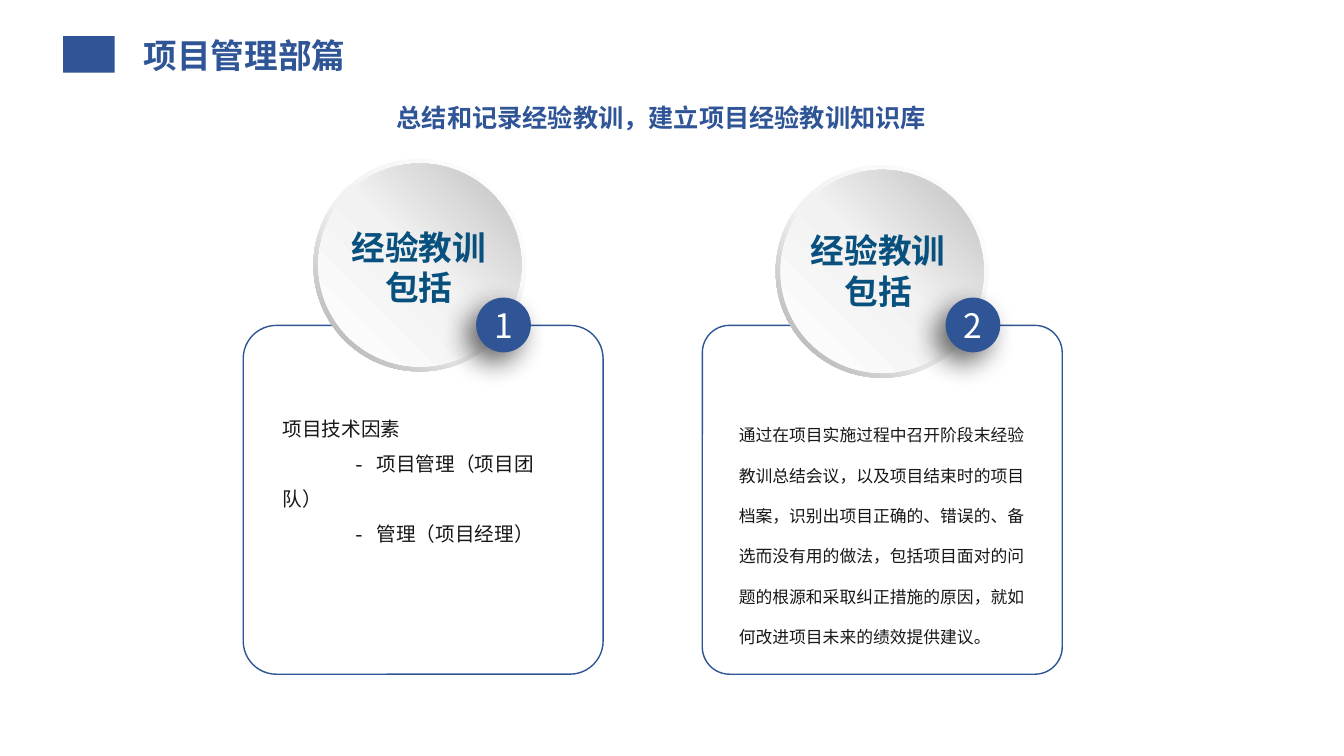
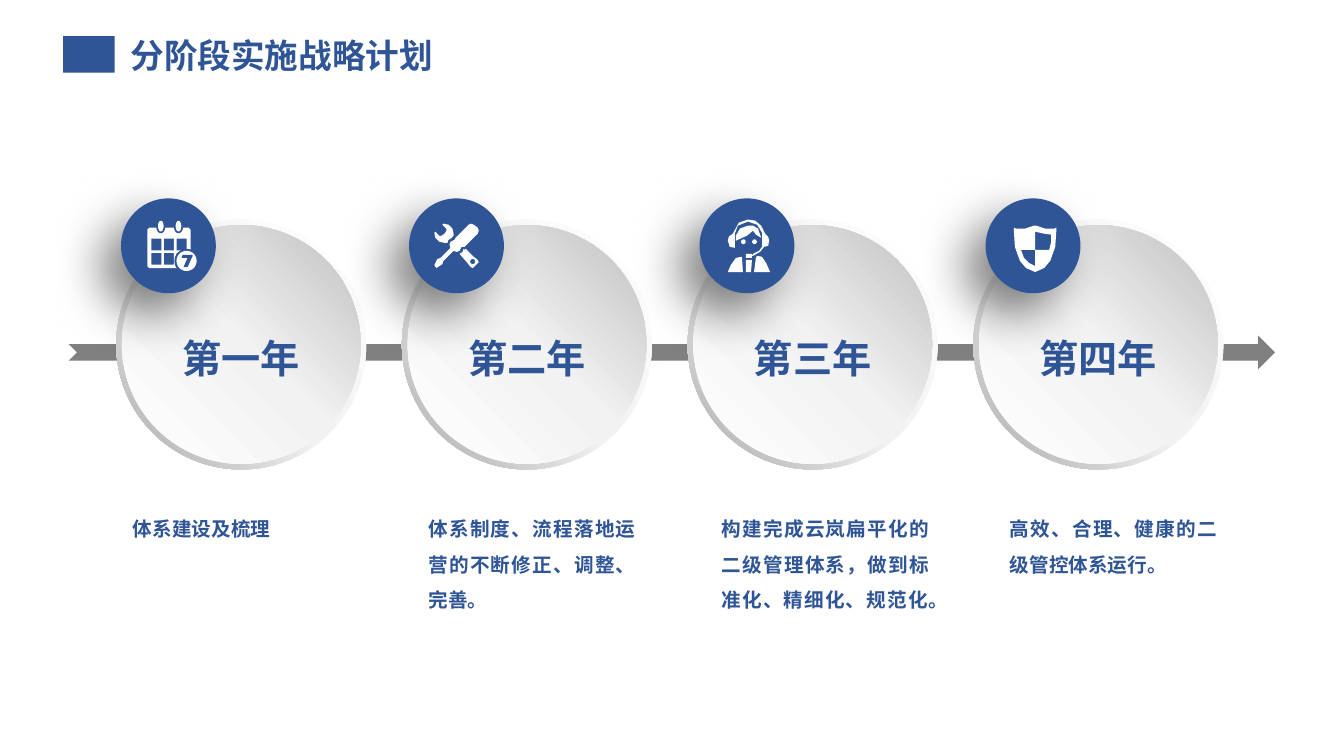
import copy
import math
from dataclasses import dataclass

import pptx
import pptx.dml.color
import pptx.enum.shapes
import pptx.enum.text
import pptx.oxml.ns
import pptx.util
from lxml import etree

Cm = pptx.util.Cm
qn = pptx.oxml.ns.qn
SHAPE = pptx.enum.shapes.MSO_SHAPE
ALIGN = pptx.enum.text.PP_ALIGN
ANCHOR = pptx.enum.text.MSO_ANCHOR


@dataclass(frozen=True)
class TextStyle:
    size: int
    colour: str
    bold: bool = False
    latin: str = "Noto Sans CJK SC"
    align: int = ALIGN.LEFT
    spacing: float = 1.0


class Theme:
    blue = "2F5597"
    white = "FFFFFF"
    grey = "808080"
    east_asian = "Noto Sans CJK SC"
    ring = ((0, "FFFFFF"), (0.55, "F2F2F2"), (1, "A6A6A6"))
    face = ((0, "FFFFFF"), (0.51, "F2F2F2"), (1, "BFBFBF"))
    title = TextStyle(24, blue, True)
    subtitle = TextStyle(18, blue, True, spacing=0.9)
    card_label = TextStyle(24, "08517E", True, align=ALIGN.CENTER)
    card_number = TextStyle(24, white, align=ALIGN.CENTER)
    card_list = TextStyle(14, "181717", latin="Courier New", spacing=1.5)
    card_prose = TextStyle(12, "181717", latin="Courier New", spacing=2.0)
    stage_label = TextStyle(28, blue, True, align=ALIGN.CENTER)
    stage_text = TextStyle(14, blue, True, align=ALIGN.JUSTIFY, spacing=1.5)


STAGE_BADGE = 2.39
ICON_GRID = 94


def rgb(colour):
    return pptx.dml.color.RGBColor.from_string(colour)


def place(shape, left, top, width, height):
    shape.left, shape.top = Cm(left), Cm(top)
    shape.width, shape.height = Cm(width), Cm(height)


def write(frame, lines, style, anchor=ANCHOR.TOP, inset=0.0):
    frame.word_wrap = True
    frame.auto_size = pptx.enum.text.MSO_AUTO_SIZE.NONE
    frame.vertical_anchor = anchor
    frame.margin_left = frame.margin_right = Cm(inset)
    frame.margin_top = frame.margin_bottom = Cm(inset / 2)
    for index, line in enumerate(lines):
        para = frame.paragraphs[0] if index == 0 else frame.add_paragraph()
        para.text = line
        properties = para._p.get_or_add_pPr()
        properties.set("marL", "0")
        properties.set("indent", str(Cm(1.78) if line.startswith("- ") else 0))
        etree.SubElement(properties, qn("a:buNone"))
        para.alignment = style.align
        para.line_spacing = style.spacing
        para.space_before = para.space_after = pptx.util.Pt(0)
        font = para.font
        font.size, font.bold, font.name = pptx.util.Pt(style.size), style.bold, style.latin
        font.color.rgb = rgb(style.colour)
        east_asian = etree.SubElement(properties.find(qn("a:defRPr")), qn("a:ea"))
        east_asian.set("typeface", Theme.east_asian)


def add_text(slide, bounds, lines, style, anchor=ANCHOR.TOP, inset=0.0):
    box = slide.shapes.add_textbox(*map(Cm, bounds))
    write(box.text_frame, lines, style, anchor, inset)


def paint(shape, colour):
    shape.shadow.inherit = False
    shape.line.fill.background()
    shape.fill.solid()
    shape.fill.fore_color.rgb = rgb(colour)


def add_shape(slide, kind, bounds, colour):
    shape = slide.shapes.add_shape(kind, *map(Cm, bounds))
    paint(shape, colour)
    return shape


def apply_gradient(shape, stops, angle):
    shape.fill.gradient()
    shape.fill.gradient_angle = angle
    stop_list = shape._element.spPr.find(".//" + qn("a:gsLst"))
    stop_list.append(copy.deepcopy(stop_list[0]))
    for stop, (position, colour) in zip(shape.fill.gradient_stops, stops):
        stop.position = position
        stop.color.rgb = rgb(colour)


def add_shadow(shape, opacity, blur, distance):
    effects = shape._element.spPr.find(qn("a:effectLst"))
    shadow = etree.SubElement(effects, qn("a:outerShdw"))
    shadow.set("blurRad", str(pptx.util.Pt(blur)))
    shadow.set("dist", str(pptx.util.Pt(distance)))
    shadow.set("dir", str(135 * 60000))
    shadow.set("algn", "tr")
    shadow.set("rotWithShape", "0")
    colour = etree.SubElement(shadow, qn("a:srgbClr"), val="000000")
    etree.SubElement(colour, qn("a:alpha"), val=str(opacity * 1000))


def add_title(slide, text, left):
    title = slide.shapes.title
    place(title, left, 0.76, 9, 1.27)
    write(title.text_frame, [text], Theme.title, ANCHOR.MIDDLE, 0.25)
    add_shape(slide, SHAPE.RECTANGLE, (1.59, 0.91, 1.3, 0.92), Theme.blue)


def add_disc(slide, left, top, size, lines, style, label_shift):
    ring = add_shape(slide, SHAPE.DONUT, (left, top, size, size), Theme.white)
    ring.adjustments[0] = 0.049
    apply_gradient(ring, Theme.ring, 225)
    inset = size * 0.0225
    inner = size - 2 * inset
    face = add_shape(slide, SHAPE.OVAL, (left + inset, top + inset, inner, inner), Theme.white)
    apply_gradient(face, Theme.face, 45)
    across, down = label_shift
    add_text(slide, (left + across, top + down, size, size), lines, style, ANCHOR.MIDDLE)


def add_badge(slide, left, top, size, shadow):
    badge = add_shape(slide, SHAPE.OVAL, (left, top, size, size), Theme.blue)
    add_shadow(badge, *shadow)
    return badge


def add_card(slide, body, card):
    bounds = (card["left"], 8.2, 9.07, 8.79)
    frame = slide.shapes.add_shape(SHAPE.ROUNDED_RECTANGLE, *map(Cm, bounds))
    frame.adjustments[0] = card["corner"]
    frame.shadow.inherit = False
    frame.fill.background()
    frame.line.color.rgb = rgb(Theme.blue)
    frame.line.width = pptx.util.Pt(1)
    add_disc(slide, card["disc_left"], card["disc_top"], 5.36,
             ["经验教训", "包括"], Theme.card_label, card["label_shift"])
    badge = add_badge(slide, card["badge_left"], 7.5, 1.38, (60, 20, 10))
    write(badge.text_frame, [card["number"]], Theme.card_number, ANCHOR.MIDDLE)
    place(body, card["body_left"], 10.2, 7.25, 6.15)
    write(body.text_frame, card["lines"], card["style"])


def rectangle(left, top, right, bottom):
    return [(left, top), (right, top), (right, bottom), (left, bottom)]


def oval(x, y, across, down, steps=32):
    angles = [2 * math.pi * step / steps for step in range(steps)]
    return [(x + across * math.cos(angle), y + down * math.sin(angle)) for angle in angles]


def add_icon(slide, left, top, layers):
    precision = 10
    scale = Cm(STAGE_BADGE) / (ICON_GRID * precision)
    for colour, outlines in layers:
        builder = None
        for outline in outlines:
            points = [(x * precision, y * precision) for x, y in outline]
            if builder is None:
                builder = slide.shapes.build_freeform(*points[0], scale=scale)
            else:
                builder.move_to(*points[0])
            builder.add_line_segments(points[1:], close=True)
        paint(builder.convert_to_shape(Cm(left), Cm(top)), colour)


def calendar_icon():
    days = [rectangle(x, y, x + 10, y + 11.5) for y in (40, 54) for x in (30, 42.5, 55)]
    pins = (39.5, 57)
    seven = [(61, 56), (71, 56), (71, 57), (66, 68), (62, 68), (66, 59), (60, 59)]
    page = [(28, 29), (67, 29), (69, 31), (69, 67), (67, 69), (28, 69), (26, 67), (26, 31)]
    return [
        (Theme.white, [page, *days]),
        (Theme.blue, [oval(x, 28, 4.5, 6.5) for x in pins] + [oval(65, 62, 12, 12)]),
        (Theme.white, [oval(x, 27.5, 2.8, 5.3) for x in pins] + [oval(65, 62, 10, 10)]),
        (Theme.blue, [seven]),
    ]


def tools_icon():
    jaw = [(41, 40), (44, 37), (44, 35), (43, 30), (39, 26), (34, 25), (33, 26), (37, 30),
           (37, 32), (35, 35), (32, 37), (30, 37), (26, 33), (25, 34), (26, 39), (30, 43),
           (35, 44), (38, 44), (39, 41)]
    shaft = [(54, 50), (53, 53), (50, 55), (57, 63), (61, 68), (63, 69), (69, 63), (68, 61),
             (63, 57), (56, 50), (55, 51)]
    driver = [(68, 29), (64, 26), (61, 25), (59, 26), (46, 39), (45, 41), (43, 42), (41, 43),
              (40, 46), (41, 49), (31, 59), (28, 60), (25, 66), (27, 69), (33, 65), (34, 62),
              (44, 52), (47, 53), (50, 52), (52, 48), (55, 48), (68, 35), (69, 32)]
    return [(Theme.white, [jaw, shaft, oval(63, 62.5, 2.5, 2.5), driver])]


def agent_icon():
    headset = [(48, 21), (39, 24), (33, 35), (29, 38), (28, 42), (30, 48), (35, 49), (35, 35),
               (38, 27), (48, 23), (57, 26), (62, 34), (62, 48), (59, 52), (53, 55), (52, 57),
               (53, 57), (60, 53), (64, 48), (68, 47), (69, 42), (68, 38), (65, 35), (61, 27),
               (55, 22)]
    hair = [(48, 27), (40, 30), (36, 37), (36, 42), (47, 37), (53, 32), (56, 36), (61, 39),
            (58, 30), (53, 27)]
    eyes = [oval(x, 43, 2.3, 2.3) for x in (43.5, 54.5)]
    right_side = [(58, 57), (56, 58), (54, 73), (70, 73), (66, 64), (62, 58)]
    left_side = [(41, 58), (36, 59), (31, 66), (28, 73), (43, 73), (42, 58)]
    tie = [(46, 61), (46, 73), (51, 73), (52, 61)]
    return [(Theme.white, [headset, hair, *eyes, rectangle(46, 55, 52, 59),
                           right_side, left_side, tie])]


def shield_icon():
    outline = [(28, 29), (30, 30), (39, 30), (48, 27), (50, 27), (59, 30), (68, 30), (70, 29),
               (70, 33), (69, 48), (64, 62), (58, 69), (49, 73), (40, 69), (34, 62), (29, 48),
               (28, 33)]
    upper = [(49, 51), (63, 51), (65, 43), (65, 36), (58, 35), (49, 33)]
    lower = [(49, 67), (49, 51), (35, 51), (38, 59), (43, 64)]
    return [(Theme.white, [outline, upper, lower])]


def build_lessons(deck):
    slide = deck.slides.add_slide(deck.slide_layouts.get_by_name("Two Content"))
    add_title(slide, "项目管理部篇", 3.37)
    add_text(slide, (9.75, 2.43, 14.4, 1.04), ["总结和记录经验教训，建立项目经验教训知识库"],
             Theme.subtitle, ANCHOR.BOTTOM, 0.25)
    cards = [
        dict(number="1", left=6.13, corner=0.095, disc_left=7.9, disc_top=4,
             label_shift=(-0.02, 0.05), badge_left=12, body_left=7.12, style=Theme.card_list,
             lines=["项目技术因素", "- 项目管理（项目团队）", "- 管理（项目经理）"]),
        dict(number="2", left=17.7, corner=0.078, disc_left=19.55, disc_top=4.16,
             label_shift=(-0.1, -0.02), badge_left=23.83, body_left=18.62,
             style=Theme.card_prose,
             lines=["通过在项目实施过程中召开阶段末经验教训总结会议，以及项目结束时的项目档案，"
                    "识别出项目正确的、错误的、备选而没有用的做法，包括项目面对的问题的根源和"
                    "采取纠正措施的原因，就如何改进项目未来的绩效提供建议。"]),
    ]
    bodies = [shape for shape in slide.placeholders if shape.placeholder_format.idx > 0]
    for body, card in zip(bodies, cards):
        add_card(slide, body, card)


def build_stages(deck):
    slide = deck.slides.add_slide(deck.slide_layouts.get_by_name("Title Only"))
    add_title(slide, "分阶段实施战略计划", 3.04)
    add_shape(slide, SHAPE.NOTCHED_RIGHT_ARROW, (1.73, 8.46, 30.4, 0.84), Theme.grey)
    stages = [
        ("第一年", "体系建设及梳理", 0.12, 0.42, calendar_icon()),
        ("第二年", "体系制度、流程落地运营的不断修正、调整、完善。", 0.18, 0.67, tools_icon()),
        ("第三年", "构建完成云岚扁平化的二级管理体系，做到标准化、精细化、规范化。",
         0.3, 0.86, agent_icon()),
        ("第四年", "高效、合理、健康的二级管控体系运行。", 0.31, 0.92, shield_icon()),
    ]
    for index, (year, text, badge_shift, text_shift, icon) in enumerate(stages):
        left = 2.93 + 7.2 * index
        add_disc(slide, left, 5.53, 6.3, [year], Theme.stage_label, (0, 0.35))
        add_badge(slide, left + badge_shift, 5, STAGE_BADGE, (50, 35, 20))
        add_icon(slide, left + badge_shift, 5, icon)
        add_text(slide, (left + text_shift, 12.74, 5.22, 2.6), [text], Theme.stage_text)


def main():
    deck = pptx.Presentation()
    deck.slide_width, deck.slide_height = Cm(33.87), Cm(19.05)
    build_lessons(deck)
    build_stages(deck)
    deck.save("out.pptx")


if __name__ == "__main__":
    main()
